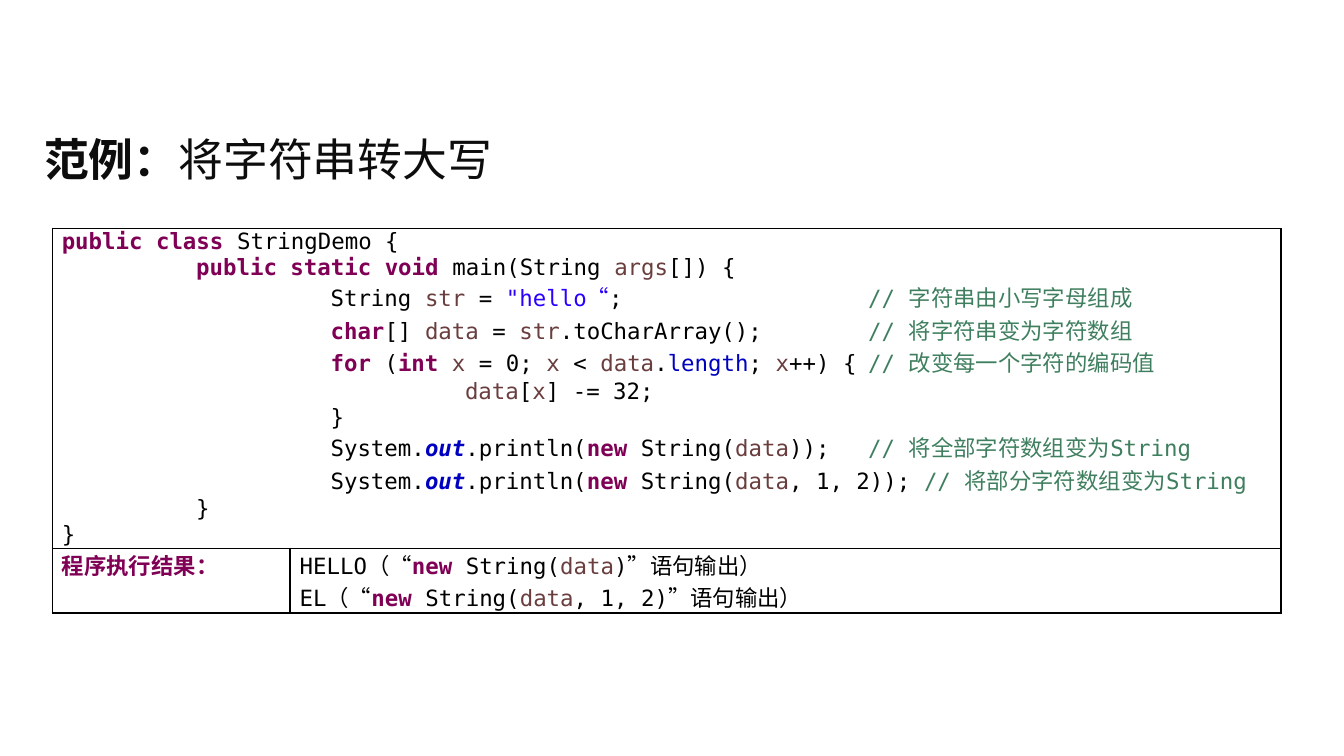
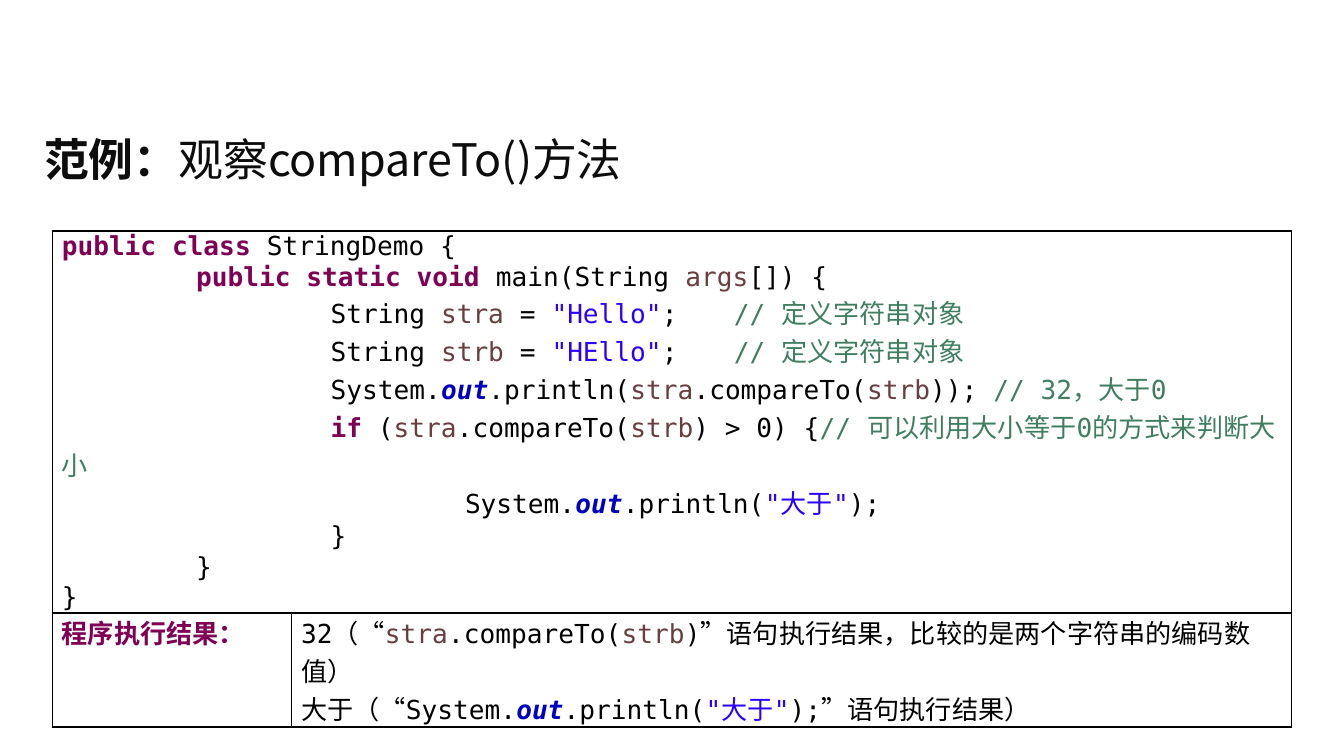
from lxml import etree
from pptx import Presentation
from pptx.dml.color import RGBColor
from pptx.enum import text
from pptx.oxml import ns
from pptx.util import Inches, Pt

BLACK = RGBColor(0x00, 0x00, 0x00)
TITLE = RGBColor(0x0D, 0x0D, 0x0D)
KEYWORD = RGBColor(0x7F, 0x00, 0x55)
VARIABLE = RGBColor(0x6A, 0x3E, 0x3E)
STRING = RGBColor(0x2A, 0x00, 0xFF)
COMMENT = RGBColor(0x3F, 0x7F, 0x5F)
FIELD = RGBColor(0x00, 0x00, 0xC0)

SANS = "Noto Sans CJK SC"
MONO = "DejaVu Sans Mono"

# Style letter -> colour, bold, italic; plain code has no letter
CODE_STYLES = {
    "": (BLACK, False, False),
    "k": (KEYWORD, True, False),
    "v": (VARIABLE, False, False),
    "s": (STRING, False, False),
    "c": (COMMENT, False, False),
    "f": (FIELD, False, False),
    "o": (FIELD, True, True),
}


def split_code(line):
    """Yield (style letter, words); `kwords` marks words in style k."""
    for index, piece in enumerate(line.split("`")):
        if piece:
            yield (piece[0], piece[1:]) if index % 2 else ("", piece)


class ExampleDeck:
    def __init__(self):
        self.presentation = Presentation()
        self.presentation.slide_width = Inches(10)
        self.presentation.slide_height = Inches(10 * 9 / 16)
        self.slide = None

    def add_slide(self):
        layout = self.presentation.slide_layouts[6]
        self.slide = self.presentation.slides.add_slide(layout)

    def add_run(self, paragraph, words, font_name, size, color, bold, italic=False):
        run = paragraph.add_run()
        run.text = words
        font = run.font
        font.name, font.size, font.bold, font.italic = font_name, Pt(size), bold, italic
        font.color.rgb = color
        # East Asian typeface
        properties = run._r.get_or_add_rPr()
        etree.SubElement(properties, ns.qn("a:ea"), typeface=SANS)

    def add_title(self, topic):
        box = self.slide.shapes.add_textbox(
            Inches(0.23), Inches(0.86), Inches(9.53), Inches(0.64))
        frame = box.text_frame
        frame.word_wrap = True
        frame.vertical_anchor = text.MSO_ANCHOR.MIDDLE
        paragraph = frame.paragraphs[0]
        self.add_run(paragraph, "范例：", SANS, 24, TITLE, True)
        self.add_run(paragraph, topic, SANS, 24, TITLE, False)

    def set_tabs(self, paragraph):
        """Put a tab stop at every inch."""
        properties = paragraph._p.get_or_add_pPr()
        tabs = etree.SubElement(properties, ns.qn("a:tabLst"))
        for inch in range(1, 8):
            etree.SubElement(tabs, ns.qn("a:tab"), pos=str(Inches(inch)), algn="l")

    def fill_cell(self, cell, lines, size):
        cell.margin_left = cell.margin_right = Inches(0.07)
        cell.margin_top = cell.margin_bottom = 0
        frame = cell.text_frame
        for index, line in enumerate(lines):
            paragraph = frame.add_paragraph() if index else frame.paragraphs[0]
            if "\t" in line:
                self.set_tabs(paragraph)
            for style, words in split_code(line):
                self.add_run(paragraph, words, MONO, size, *CODE_STYLES[style])

    def frame_cell(self, cell):
        cell.fill.background()
        properties = cell._tc.get_or_add_tcPr()
        for index, side in enumerate(("lnL", "lnR", "lnT", "lnB")):
            line = etree.Element(ns.qn("a:" + side), w=str(Pt(1)))
            fill = etree.SubElement(line, ns.qn("a:solidFill"))
            etree.SubElement(fill, ns.qn("a:srgbClr"), val=str(BLACK))
            properties.insert(index, line)

    def add_listing(self, top, widths, heights, size, code, output):
        table = self.slide.shapes.add_table(
            2, 2, Inches(0.39), Inches(top),
            Inches(sum(widths)), Inches(sum(heights))).table
        table.first_row = table.horz_banding = False
        for column, width in zip(table.columns, widths):
            column.width = Inches(width)
        for row, height in zip(table.rows, heights):
            row.height = Inches(height)
        for cell in table.iter_cells():
            self.frame_cell(cell)
        table.cell(0, 0).merge(table.cell(0, 1))
        self.fill_cell(table.cell(0, 0), code, size)
        self.fill_cell(table.cell(1, 0), ["`k程序执行结果：`"], size)
        self.fill_cell(table.cell(1, 1), output, size)


# Lines that open and close both programs
CLASS_HEAD = [
    "`kpublic class `StringDemo {",
    "\t`kpublic static void` main(String `vargs`[]) {",
]
CLASS_END = ["\t}", "}"]

UPPERCASE_CODE = CLASS_HEAD + [
    "\t\tString `vstr` = `s\"hello“`;\t\t`c// 字符串由小写字母组成`",
    "\t\t`kchar`[] `vdata` = `vstr`.toCharArray(); \t`c// 将字符串变为字符数组`",
    "\t\t`kfor` (`kint ``vx` = 0; `vx` < `vdata`.`flength`; `vx`++) {\t`c// 改变每一个字符的编码值`",
    "\t\t\t`vdata`[`vx`] -= 32;",
    "\t\t}",
    "\t\tSystem.`oout`.println(`knew` String(`vdata`)); \t`c// 将全部字符数组变为String`",
    "\t\tSystem.`oout`.println(`knew` String(`vdata`, 1, 2)); `c// 将部分字符数组变为String`",
] + CLASS_END
UPPERCASE_OUTPUT = [
    "HELLO（“`knew` String(`vdata`)”语句输出）",
    "EL（“`knew` String(`vdata`, 1, 2)”语句输出）",
]

COMPARE_CODE = CLASS_HEAD + [
    "\t\tString `vstra` = `s\"Hello\"`;\t`c// 定义字符串对象`",
    "\t\tString `vstrb` = `s\"HEllo\"`;\t`c// 定义字符串对象`",
    "\t\tSystem.`oout`.println(`vstra`.compareTo(`vstrb`)); `c// 32，大于0`",
    "\t\t`kif` (`vstra`.compareTo(`vstrb`) > 0) {`c// 可以利用大小等于0的方式来判断大小`",
    "\t\t\tSystem.`oout`.println(`s\"大于\"`);",
    "\t\t}",
] + CLASS_END
COMPARE_OUTPUT = [
    "32（“`vstra`.compareTo(`vstrb`)”语句执行结果，比较的是两个字符串的编码数值）",
    "大于（“System.`oout`.println(`s\"大于\"`);”语句执行结果）",
]


def main():
    deck = ExampleDeck()

    # Upper case by character codes
    deck.add_slide()
    deck.add_title("将字符串转大写")
    deck.add_listing(1.7, (1.77, 7.37), (2.38, 0.48), 12, UPPERCASE_CODE, UPPERCASE_OUTPUT)

    # Comparing two strings
    deck.add_slide()
    deck.add_title("观察compareTo()方法")
    deck.add_listing(1.72, (1.78, 7.44), (2.84, 0.85), 14, COMPARE_CODE, COMPARE_OUTPUT)

    deck.presentation.save("out.pptx")


if __name__ == "__main__":
    main()
